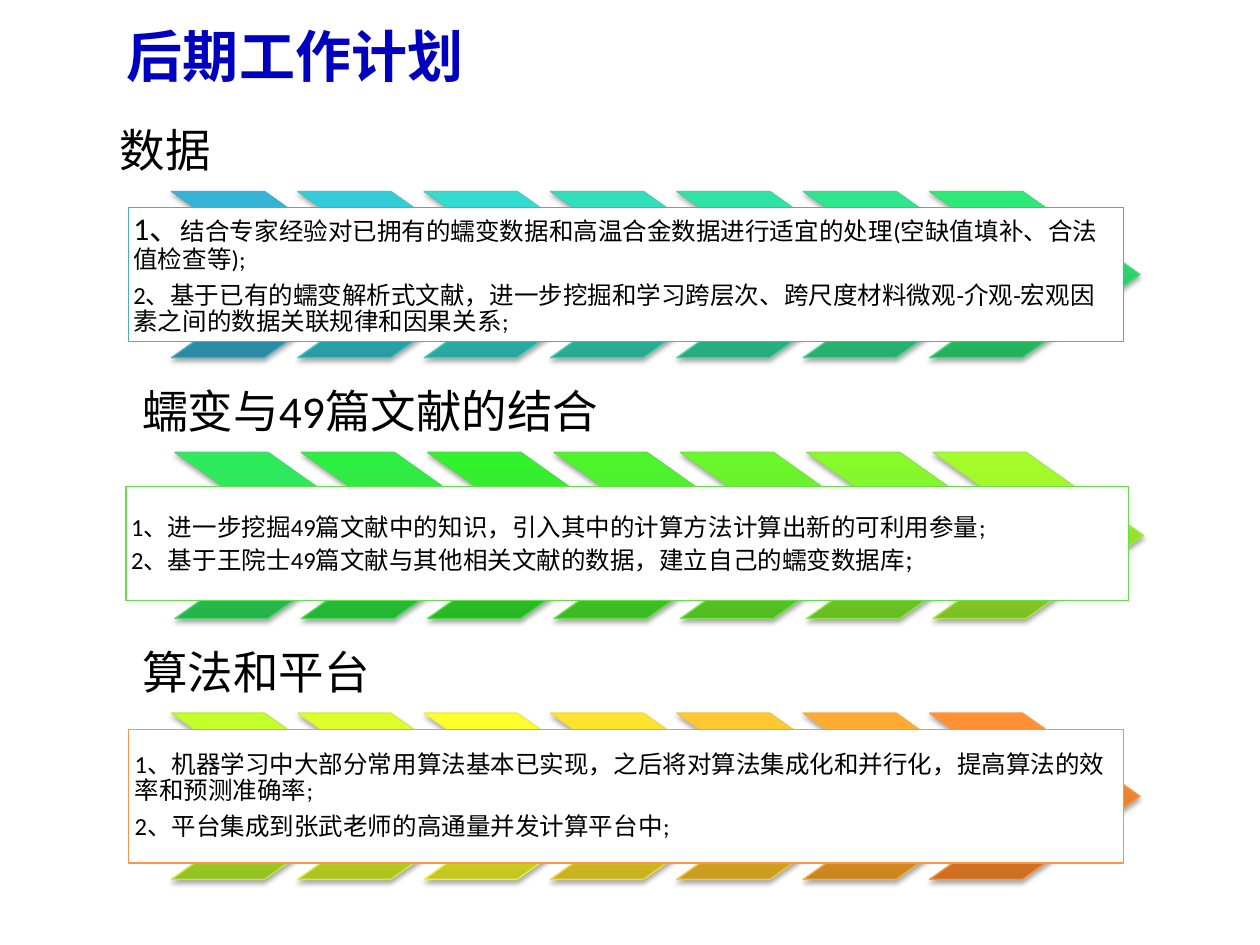
from copy import deepcopy

from lxml import etree
from pptx import Presentation
from pptx.dml.color import RGBColor
from pptx.enum.shapes import MSO_SHAPE
from pptx.enum.text import MSO_ANCHOR, PP_ALIGN
from pptx.oxml import parse_xml
from pptx.oxml.ns import qn
from pptx.util import Pt

CJK_FONT = "Noto Sans CJK SC"
SHADOW = (
    '<a:effectLst xmlns:a="http://schemas.openxmlformats.org/drawingml/2006/main">'
    '<a:outerShdw blurRad="39370" dist="22860" dir="5400000" rotWithShape="0">'
    '<a:srgbClr val="000000"><a:alpha val="35000"/></a:srgbClr>'
    "</a:outerShdw></a:effectLst>"
)


def rgb(value):
    return RGBColor.from_string(value)


def style_run(run, size, color="000000", latin="Calibri", bold=False):
    run.font.size = Pt(size)
    run.font.name = latin
    run.font.bold = bold
    run.font.color.rgb = rgb(color)
    east_asian = etree.SubElement(run.font._element, qn("a:ea"))
    east_asian.set("typeface", CJK_FONT)


sections = [
    {
        "heading": "数据", "heading_left": 60.5, "arrows_left": 98,
        "panel": (73.4, 9.4, 568.8, 76.3), "border": "4BACC6",
        "inset": 2.9, "spacing": 0.9, "gap": 5.5,
        "items": [
            [("1、", 18), ("结合专家经验对已拥有的蠕变数据和高温合金数据进行适宜的处理(空缺值填补、合法值检查等);", 14)],
            [("2、基于已有的蠕变解析式文献，进一步挖掘和学习跨层次、跨尺度材料微观-介观-宏观因素之间的数据关联规律和因果关系;", 14)],
        ],
        "arrows": [
            "2A88A2 37B1D2 34B4D6 4BACC6", "299BA4 36C9D5 33CDD9 4AC0C9",
            "28A79E 35D8CE 32DCD1 4ACCC3", "28A98F 33DBB9 30E0BC 49CEB3",
            "27AB7E 32DFA4 2FE3A6 49D1A3", "26AE6D 32E28D 2EE68E 48D491",
            "25B05B 31E576 2DE975 48D77E",
        ],
    },
    {
        "heading": "蠕变与49篇文献的结合", "heading_left": 73.4, "arrows_left": 100,
        "panel": (72, 19.4, 573, 65.5), "border": "60E146",
        "inset": 2.9, "spacing": 1, "gap": 0,
        "items": [
            [("1、进一步挖掘49篇文献中的知识，引入其中的计算方法计算出新的可利用参量;", 14)],
            [("2、基于王院士49篇文献与其他相关文献的数据，建立自己的蠕变数据库", 14), (";", 16)],
        ],
        "arrows": [
            "25B248 30E85D 2DEC5C 47D96B", "24B534 2FEB43 2CEF41 47DC57",
            "28B724 34ED2E 31F22B 4BDE47", "3CB923 4EF02E 4CF52A 60E146",
            "51BB23 6AF32D 69F829 76E346", "67BD22 86F62D 86FB29 8DE646",
            "7DBF22 A3F82C A4FD28 A4E846",
        ],
    },
    {
        "heading": "算法和平台", "heading_left": 73.4, "arrows_left": 98,
        "panel": (73.4, 9.4, 568.8, 76.3), "border": "F79646",
        "inset": 3.6, "spacing": 0.9, "gap": 5,
        "items": [
            [("1、机器学习中大部分常用算法基本已实现，之后将对算法集成化和并行化，提高算法的效率和预测准确率;", 14)],
            [("2、平台集成到张武老师的高通量并发计算平台中;", 14)],
        ],
        "arrows": [
            "94C122 C1FB2C C3FF29 BCEA46", "ACC321 DFFD2B E1FF2B D5EC46",
            "C4C521 FEFF2C FEFF2D EEEF46", "C7B121 FFE32E FFE32F F1DA46",
            "C99B21 FFC730 FFC731 F3C446", "CA8521 FFAB32 FFAC33 F5AD46",
            "CC6E20 FF9034 FF9136 F79646",
        ],
    },
]

presentation = Presentation()
presentation.slide_width = Pt(720)
presentation.slide_height = Pt(540)
slide = presentation.slides.add_slide(presentation.slide_layouts[6])

title = slide.shapes.add_textbox(Pt(65.5), Pt(0), Pt(648), Pt(62.6)).text_frame
title.word_wrap = True
title.vertical_anchor = MSO_ANCHOR.MIDDLE
title.text = "后期工作计划"
style_run(title.paragraphs[0].runs[0], 32, "0000BF", CJK_FONT, True)

for row, section in enumerate(sections):
    top = 109.4 + 149.05 * row

    heading = slide.shapes.add_textbox(
        Pt(section["heading_left"]), Pt(top - 46.7), Pt(513.4), Pt(46.7)
    ).text_frame
    heading.word_wrap = True
    heading.vertical_anchor = MSO_ANCHOR.BOTTOM
    heading.margin_left = heading.margin_right = Pt(7.9)
    heading.margin_top = heading.margin_bottom = Pt(7.9)
    heading.text = section["heading"]
    heading.paragraphs[0].line_spacing = 0.9
    style_run(heading.paragraphs[0].runs[0], 26)

    for column, colors in enumerate(section["arrows"]):
        dark, middle, light, outline = colors.split()
        arrow = slide.shapes.add_shape(
            MSO_SHAPE.CHEVRON, Pt(section["arrows_left"] + 72.2 * column), Pt(top), Pt(120.2), Pt(95)
        )
        arrow.adjustments[0] = 0.706
        arrow.fill.gradient()
        arrow.fill.gradient_angle = 90
        stop_list = arrow._element.spPr.find(qn("a:gradFill")).find(qn("a:gsLst"))
        stop_list.insert(1, deepcopy(stop_list[1]))
        stops = arrow.fill.gradient_stops
        for stop, position, color in zip(stops, (0, 0.8, 1), (dark, middle, light)):
            stop.position = position
            stop.color.rgb = rgb(color)
        arrow.line.color.rgb = rgb(outline)
        arrow.line.width = Pt(0.75)
        arrow._element.spPr.append(parse_xml(SHADOW))

    left, offset, width, height = section["panel"]
    panel = slide.shapes.add_shape(
        MSO_SHAPE.RECTANGLE, Pt(left), Pt(top + offset), Pt(width), Pt(height)
    )
    panel.shadow.inherit = False
    panel.fill.solid()
    panel.fill.fore_color.rgb = rgb("FFFFFF")
    panel.line.color.rgb = rgb(section["border"])
    panel.line.width = Pt(0.75)
    plan = panel.text_frame
    plan.word_wrap = True
    plan.vertical_anchor = MSO_ANCHOR.MIDDLE
    plan.margin_left = plan.margin_right = Pt(section["inset"])
    plan.margin_top = plan.margin_bottom = Pt(section["inset"])
    for index, item in enumerate(section["items"]):
        paragraph = plan.add_paragraph() if index else plan.paragraphs[0]
        paragraph.alignment = PP_ALIGN.LEFT
        paragraph.line_spacing = section["spacing"]
        if index:
            paragraph.space_before = Pt(section["gap"])
        for words, size in item:
            run = paragraph.add_run()
            run.text = words
            style_run(run, size)

presentation.save("out.pptx")
